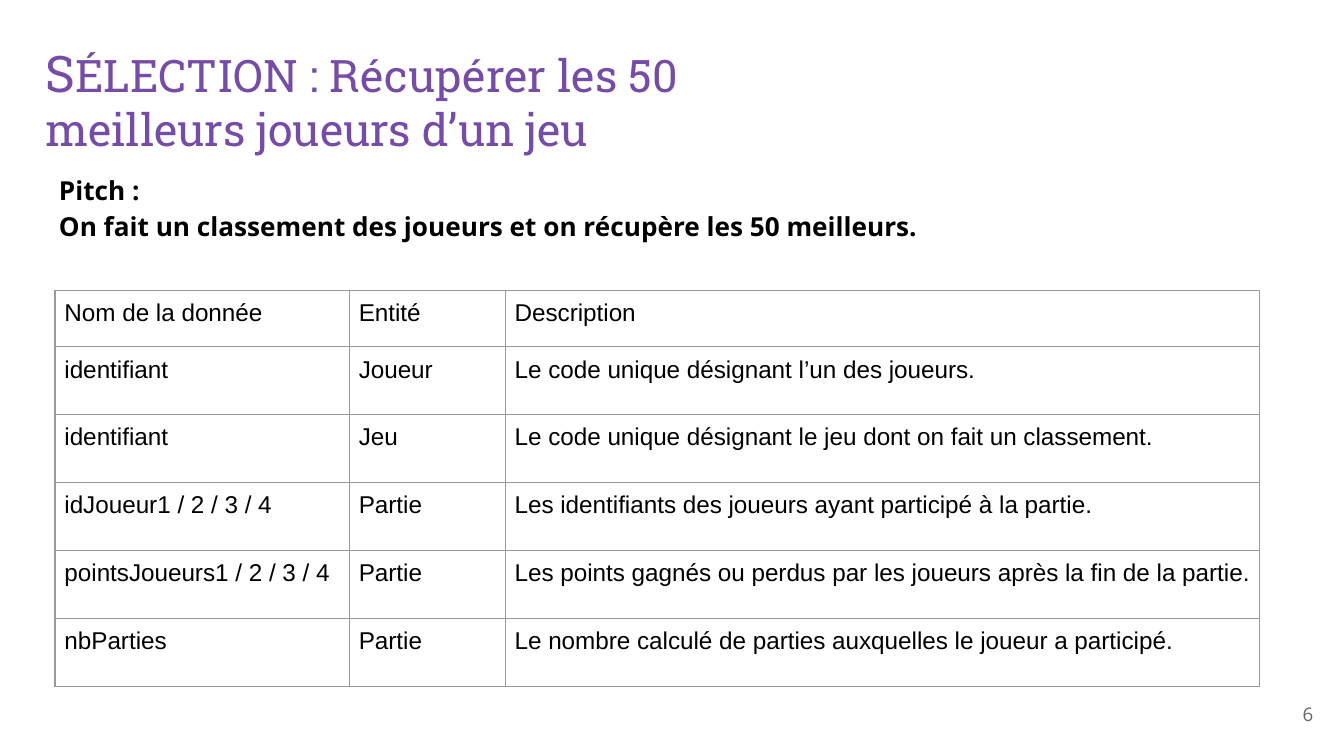
from dataclasses import dataclass

from lxml import etree
from pptx import Presentation
from pptx import util as u
from pptx.dml.color import RGBColor
from pptx.enum import text
from pptx.oxml import ns

COLORS = {"title": "754CA6", "ink": "000000", "number": "666666", "grid": "999999"}
PAGE_WIDTH = 10
PAGE_HEIGHT = PAGE_WIDTH * 9 / 16


@dataclass(frozen=True)
class Span:
    words: str
    size: float
    font: str
    color: str
    bold: bool = False


@dataclass(frozen=True)
class TextBlock:
    left: float
    top: float
    width: float
    height: float
    paras: list[list[Span]]
    align: text.PP_ALIGN = text.PP_ALIGN.LEFT
    anchor: text.MSO_ANCHOR = text.MSO_ANCHOR.TOP
    spacing: float = 1.0


def title_span(words: str, size: float = 24) -> Span:
    return Span(words, size, "Roboto Slab", "title")


def pitch_span(words: str) -> Span:
    return Span(words, 14, "Open Sans", "ink", True)


BLOCKS = [
    TextBlock(0.24, 0.21, 9.32, 0.71, [
        [title_span("S", 27), title_span("ÉLECTION : Récupérer les 50 ")],
        [title_span("meilleurs joueurs d’un jeu")],
    ]),
    TextBlock(0.34, 1.16, 9.32, 0.86, [
        [pitch_span("Pitch :")],
        [pitch_span("On fait un classement des joueurs et on récupère les 50 meilleurs.")],
    ], spacing=1.15),
    TextBlock(9.27, 5.1, 0.6, 0.43, [[Span("6", 10, "Open Sans", "number")]],
              text.PP_ALIGN.RIGHT, text.MSO_ANCHOR.MIDDLE),
]

DATA_ROWS = [
    ("Nom de la donnée", "Entité", "Description"),
    ("identifiant", "Joueur", "Le code unique désignant l’un des joueurs."),
    ("identifiant", "Jeu", "Le code unique désignant le jeu dont on fait un classement."),
    ("idJoueur1 / 2 / 3 / 4", "Partie",
     "Les identifiants des joueurs ayant participé à la partie."),
    ("pointsJoueurs1 / 2 / 3 / 4", "Partie",
     "Les points gagnés ou perdus par les joueurs après la fin de la partie."),
    ("nbParties", "Partie",
     "Le nombre calculé de parties auxquelles le joueur a participé."),
]
COLUMN_WIDTHS = [2.19, 1.16, 5.61]
TABLE_HEIGHT = 2.95
HEADER_HEIGHT = 0.42
BODY_COUNT = len(DATA_ROWS) - 1
ROW_HEIGHTS = [HEADER_HEIGHT] + [(TABLE_HEIGHT - HEADER_HEIGHT) / BODY_COUNT] * BODY_COUNT


def add_span(para, span: Span) -> None:
    run = para.add_run()
    run.text = span.words
    run.font.size = u.Pt(span.size)
    run.font.name = span.font
    run.font.bold = span.bold
    run.font.color.rgb = RGBColor.from_string(COLORS[span.color])


def set_margins(holder, margin: float) -> None:
    for side in ("left", "top", "right", "bottom"):
        setattr(holder, f"margin_{side}", u.Inches(margin))


def add_text_block(page, block: TextBlock) -> None:
    box = page.shapes.add_textbox(*map(u.Inches, (block.left, block.top, block.width, block.height)))
    frame = box.text_frame
    frame.word_wrap = True
    frame.vertical_anchor = block.anchor
    set_margins(frame, 0.1)
    for index, spans in enumerate(block.paras):
        para = frame.add_paragraph() if index else frame.paragraphs[0]
        para.alignment = block.align
        para.line_spacing = block.spacing
        for span in spans:
            add_span(para, span)


def add_borders(cell) -> None:
    properties = cell._tc.get_or_add_tcPr()
    for position, side in enumerate(("lnL", "lnR", "lnT", "lnB")):
        line = etree.Element(ns.qn(f"a:{side}"), w=str(u.Pt(0.75)))
        fill = etree.SubElement(line, ns.qn("a:solidFill"))
        etree.SubElement(fill, ns.qn("a:srgbClr"), val=COLORS["grid"])
        properties.insert(position, line)


def add_data_table(page) -> None:
    table = page.shapes.add_table(
        len(DATA_ROWS), len(COLUMN_WIDTHS), u.Inches(0.41), u.Inches(2.16),
        u.Inches(sum(COLUMN_WIDTHS)), u.Inches(TABLE_HEIGHT),
    ).table
    table.first_row = False
    table.horz_banding = False
    for column, width in zip(table.columns, COLUMN_WIDTHS):
        column.width = u.Inches(width)
    for row, height, entries in zip(table.rows, ROW_HEIGHTS, DATA_ROWS):
        row.height = u.Inches(height)
        for cell, words in zip(row.cells, entries):
            cell.fill.background()
            set_margins(cell, 0.07)
            add_borders(cell)
            add_span(cell.text_frame.paragraphs[0], Span(words, 13, "Arial", "ink"))


deck = Presentation()
deck.slide_width = u.Inches(PAGE_WIDTH)
deck.slide_height = u.Inches(PAGE_HEIGHT)
page = deck.slides.add_slide(deck.slide_layouts[6])
for block in BLOCKS:
    add_text_block(page, block)
add_data_table(page)
deck.save("out.pptx")
